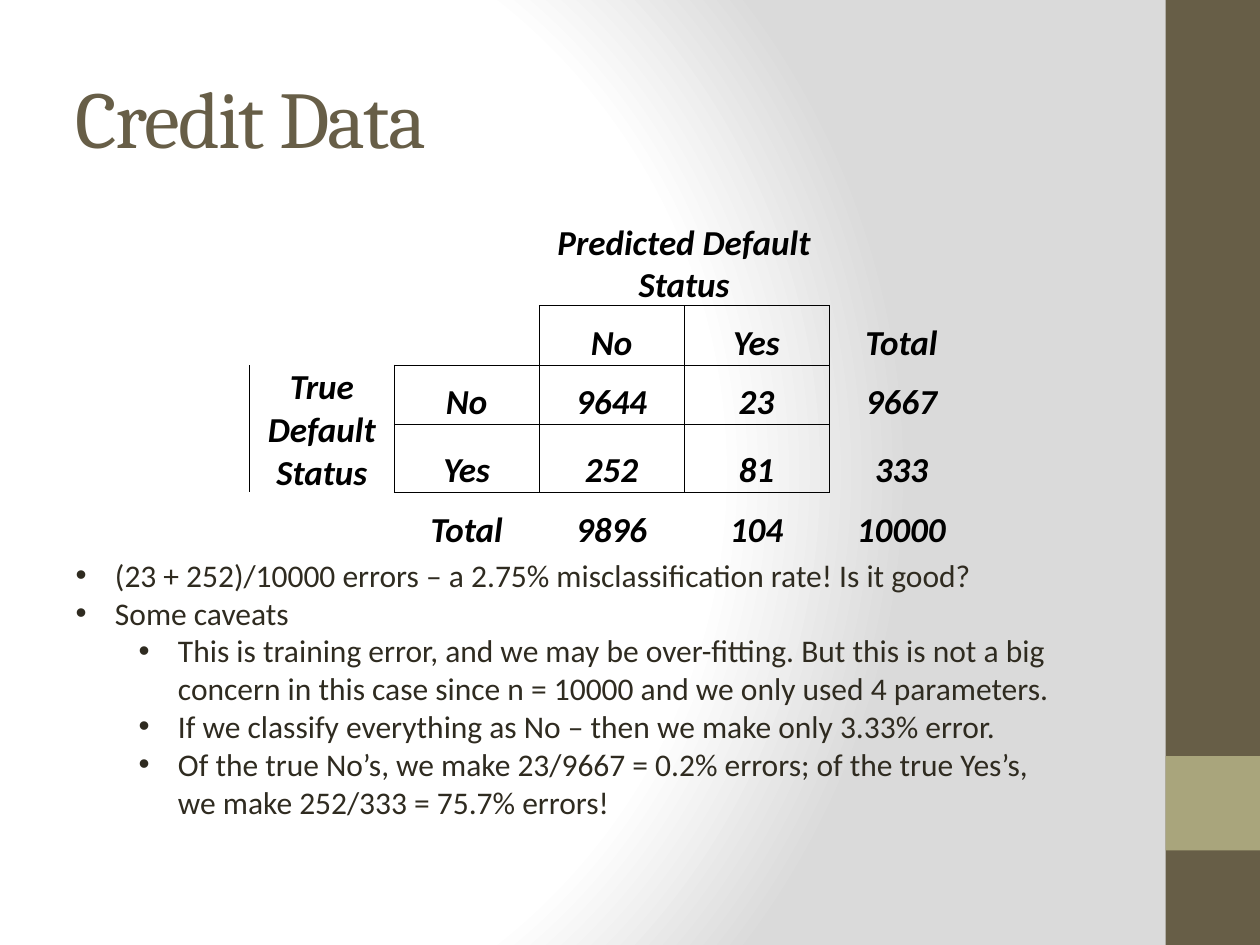
from lxml.etree import SubElement
from pptx import Presentation
from pptx.dml.color import RGBColor
from pptx.enum.shapes import MSO_SHAPE
from pptx.enum.text import MSO_ANCHOR, MSO_AUTO_SIZE, PP_ALIGN
from pptx.oxml import parse_xml
from pptx.oxml.ns import nsdecls, qn
from pptx.util import Pt

BROWN = RGBColor(0x67, 0x5E, 0x47)
OLIVE = RGBColor(0xA9, 0xA5, 0x7C)
INK = RGBColor(0x2F, 0x2B, 0x20)
BLACK = RGBColor(0, 0, 0)
GRADIENT_STOPS = [(0, "FFFFFF"), (75, "FFFFFF"), (100, "DADADA")]

CONFUSION_MATRIX = [
    ["", "", "Predicted Default Status", "", ""],
    ["", "", "No", "Yes", "Total"],
    ["True Default Status", "No", "9644", "23", "9667"],
    ["", "Yes", "252", "81", "333"],
    ["", "Total", "9896", "104", "10000"],
]
# Cells with a line on all four sides: the inner block without its corner
BOXED = {(row, column) for row in (1, 2, 3) for column in (1, 2, 3)} - {(1, 1)}
# Border tag and the neighbour that shares it
SIDES = [("a:lnL", 0, -1), ("a:lnR", 0, 1), ("a:lnT", -1, 0), ("a:lnB", 1, 0)]

BULLETS = [
    (0, "(23 + 252)/10000 errors – a 2.75% misclassification rate! Is it good?"),
    (0, "Some caveats"),
    (1, "This is training error, and we may be over-fitting. But this is not a big "
        "concern in this case since n = 10000 and we only used 4 parameters."),
    (1, "If we classify everything as No – then we make only 3.33% error."),
    (1, "Of the true No’s, we make 23/9667 = 0.2% errors; of the true Yes’s, "
        "we make 252/333 = 75.7% errors!"),
]


def set_font(font, name, size, color):
    font.name = name
    font.size = Pt(size)
    font.color.rgb = color


def place(shape, left, top, width, height):
    shape.left, shape.top = Pt(left), Pt(top)
    shape.width, shape.height = Pt(width), Pt(height)


def set_background(slide):
    stops = "".join(
        f'<a:gs pos="{position * 1000}"><a:srgbClr val="{color}"/></a:gs>'
        for position, color in GRADIENT_STOPS)
    background = parse_xml(
        f'<p:bg {nsdecls("p", "a")}><p:bgPr><a:gradFill rotWithShape="1">'
        f'<a:gsLst>{stops}</a:gsLst><a:path path="circle">'
        '<a:fillToRect l="20000" t="50000" r="100000" b="50000"/></a:path>'
        '</a:gradFill><a:effectLst/></p:bgPr></p:bg>')
    slide._element.cSld.insert(0, background)


def add_block(slide, left, top, width, height, color):
    block = slide.shapes.add_shape(
        MSO_SHAPE.RECTANGLE, Pt(left), Pt(top), Pt(width), Pt(height))
    block.shadow.inherit = False
    block.fill.solid()
    block.fill.fore_color.rgb = color
    block.line.fill.background()


def fill_title(title, text):
    place(title, 36, 21.6, 600, 90)
    frame = title.text_frame
    frame.text = text
    frame.vertical_anchor = MSO_ANCHOR.MIDDLE
    paragraph = frame.paragraphs[0]
    paragraph.alignment = PP_ALIGN.LEFT
    set_font(paragraph.font, "Cambria", 46, BROWN)
    paragraph.runs[0]._r.get_or_add_rPr().set("spc", "-100")


def fill_bullets(body, items):
    place(body, 36, 314, 577.5, 160)
    frame = body.text_frame
    frame.word_wrap = True
    frame.auto_size = MSO_AUTO_SIZE.SHAPE_TO_FIT_TEXT
    frame.vertical_anchor = MSO_ANCHOR.TOP
    for index, (level, text) in enumerate(items):
        paragraph = frame.paragraphs[0] if index == 0 else frame.add_paragraph()
        paragraph.text = text
        paragraph.level = level
        paragraph.space_before = Pt(0)
        set_font(paragraph.font, "Calibri", 18, INK)
        # Hanging bullet, one step deeper per level
        properties = paragraph._p.get_or_add_pPr()
        properties.set("marL", str(Pt(22.5 + 36 * level)))
        properties.set("indent", str(Pt(-22.5)))
        bullet_font = parse_xml(f'<a:buFont {nsdecls("a")} typeface="Arial"/>')
        bullet = parse_xml(f'<a:buChar {nsdecls("a")} char="•"/>')
        default_run = properties.find(qn("a:defRPr"))
        default_run.addprevious(bullet_font)
        default_run.addprevious(bullet)


def set_borders(cell, row, column):
    properties = cell._tc.get_or_add_tcPr()
    for tag, row_step, column_step in SIDES:
        neighbour = (row + row_step, column + column_step)
        outer_left = tag == "a:lnL" and column == 0 and row in (2, 3)
        line = SubElement(properties, qn(tag), w=str(Pt(0.5)))
        if (row, column) in BOXED or neighbour in BOXED or outer_left:
            fill = SubElement(line, qn("a:solidFill"))
            SubElement(fill, qn("a:srgbClr"), val=str(BLACK))
        else:
            SubElement(line, qn("a:noFill"))


def fill_cell(cell, text):
    cell.fill.background()
    cell.vertical_anchor = MSO_ANCHOR.BOTTOM
    cell.margin_left = cell.margin_right = cell.margin_top = Pt(0.75)
    cell.margin_bottom = Pt(0)
    cell.text = text
    paragraph = cell.text_frame.paragraphs[0]
    paragraph.alignment = PP_ALIGN.CENTER
    set_font(paragraph.font, "Calibri", 20, BLACK)
    paragraph.font.bold = paragraph.font.italic = True


def add_matrix(slide, values):
    rows, columns = len(values), len(values[0])
    table = slide.shapes.add_table(
        rows, columns, Pt(142.5), Pt(126), Pt(82.8 * columns), Pt(33.8 * rows)).table
    table.first_row = table.horz_banding = False
    for row, texts in enumerate(values):
        for column, text in enumerate(texts):
            cell = table.cell(row, column)
            set_borders(cell, row, column)
            fill_cell(cell, text)
    # Headings that span two cells
    table.cell(0, 2).merge(table.cell(0, 3))
    table.cell(2, 0).merge(table.cell(3, 0))


def main():
    presentation = Presentation()
    presentation.slide_width, presentation.slide_height = Pt(720), Pt(540)
    slide = presentation.slides.add_slide(presentation.slide_layouts[1])

    # Backdrop and side band
    set_background(slide)
    add_block(slide, 666, 0, 54, 540, BROWN)
    add_block(slide, 666, 432, 54, 54, OLIVE)

    # Content
    fill_title(slide.shapes.title, "Credit Data")
    fill_bullets(slide.placeholders[1], BULLETS)
    add_matrix(slide, CONFUSION_MATRIX)

    presentation.save("out.pptx")


if __name__ == "__main__":
    main()
